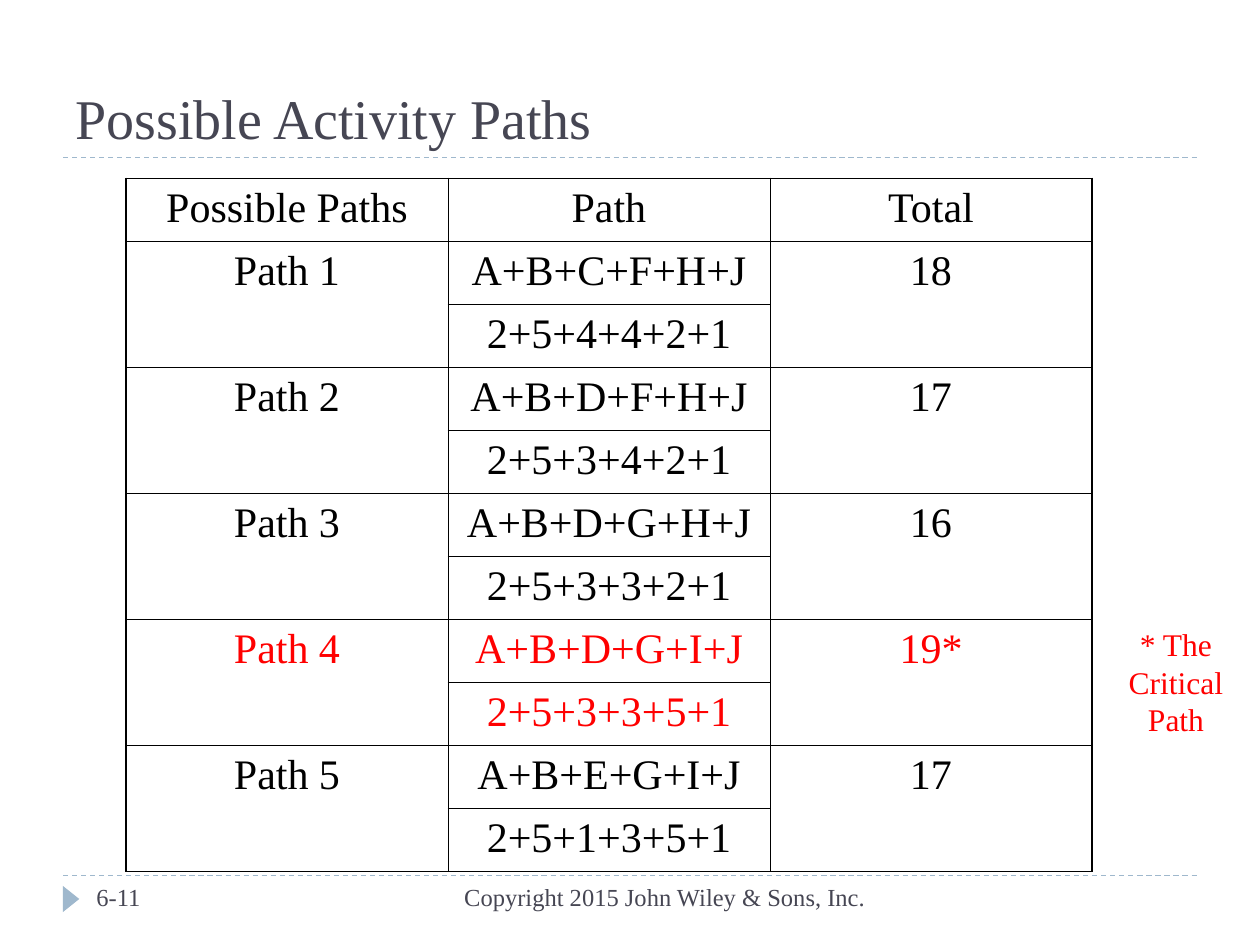
from dataclasses import dataclass

from lxml.etree import SubElement
from pptx import Presentation
from pptx.dml.color import RGBColor
from pptx.enum.dml import MSO_LINE
from pptx.enum.shapes import MSO_CONNECTOR, MSO_SHAPE
from pptx.enum.text import MSO_ANCHOR, PP_ALIGN
from pptx.oxml import parse_xml
from pptx.oxml.ns import nsdecls, qn
from pptx.util import Pt

FONT = "Times New Roman"
BLACK = RGBColor(0x00, 0x00, 0x00)
RED = RGBColor(0xFF, 0x00, 0x00)
SLATE = RGBColor(0x46, 0x46, 0x53)
BLUE = RGBColor(0x9F, 0xB8, 0xCD)

THIN, THICK = 0.45, 1.08
TABLE_LEFT, TABLE_TOP = 72, 102
COLUMN_WIDTH, ROW_HEIGHT = 184, 36
HEADINGS = ("Possible Paths", "Path", "Total")


@dataclass
class ActivityPath:
    name: str
    activities: str
    durations: str
    total: str
    color: RGBColor = BLACK


PATHS = [
    ActivityPath("Path 1", "A+B+C+F+H+J", "2+5+4+4+2+1", "18"),
    ActivityPath("Path 2", "A+B+D+F+H+J", "2+5+3+4+2+1", "17"),
    ActivityPath("Path 3", "A+B+D+G+H+J", "2+5+3+3+2+1", "16"),
    ActivityPath("Path 4", "A+B+D+G+I+J", "2+5+3+3+5+1", "19*", RED),
    ActivityPath("Path 5", "A+B+E+G+I+J", "2+5+1+3+5+1", "17"),
]


def write(frame, text: str, *, size: float, color: RGBColor,
          align: PP_ALIGN = PP_ALIGN.LEFT) -> None:
    para = frame.paragraphs[0]
    para.alignment = align
    span = para.add_run()
    span.text = text
    span.font.name = FONT
    span.font.size = Pt(size)
    span.font.color.rgb = color


def add_text(page, text: str, left: float, top: float, width: float,
             height: float, **text_format) -> None:
    box = page.shapes.add_textbox(Pt(left), Pt(top), Pt(width), Pt(height))
    box.text_frame.word_wrap = True
    write(box.text_frame, text, **text_format)


def add_rule(page, top: float) -> None:
    rule = page.shapes.add_connector(
        MSO_CONNECTOR.STRAIGHT, Pt(36), Pt(top), Pt(684), Pt(top))
    rule.line.color.rgb = BLUE
    rule.line.width = Pt(0.75)
    rule.line.dash_style = MSO_LINE.DASH
    SubElement(rule.element.spPr, qn("a:effectLst"))


def set_borders(cell, widths: dict[str, float]) -> None:
    properties = cell._tc.get_or_add_tcPr()
    for index, (side, width) in enumerate(widths.items()):
        properties.insert(index, parse_xml(
            f'<a:ln{side} {nsdecls("a")} w="{Pt(width)}"><a:solidFill>'
            f'<a:srgbClr val="{BLACK}"/></a:solidFill></a:ln{side}>'))


def add_path_table(page) -> None:
    row_count, column_count = 1 + 2 * len(PATHS), len(HEADINGS)
    table = page.shapes.add_table(
        row_count, column_count, Pt(TABLE_LEFT), Pt(TABLE_TOP),
        Pt(COLUMN_WIDTH * column_count), Pt(ROW_HEIGHT * row_count)).table
    table.first_row = table.horz_banding = False

    # Grid: thick outer frame, thin inner lines
    for row in range(row_count):
        for column in range(column_count):
            cell = table.cell(row, column)
            cell.fill.background()
            set_borders(cell, {
                "L": THICK if column == 0 else THIN,
                "R": THICK if column == column_count - 1 else THIN,
                "T": THICK if row == 0 else THIN,
                "B": THICK if row == row_count - 1 else THIN,
            })

    def fill_cell(row: int, column: int, text: str, color: RGBColor) -> None:
        write(table.cell(row, column).text_frame, text, size=24,
              color=color, align=PP_ALIGN.CENTER)

    # Headings, then two rows for each path
    for column, heading in enumerate(HEADINGS):
        fill_cell(0, column, heading, BLACK)
    for index, path in enumerate(PATHS):
        row = 1 + 2 * index
        for column in (0, 2):
            table.cell(row, column).merge(table.cell(row + 1, column))
        fill_cell(row, 0, path.name, path.color)
        fill_cell(row, 1, path.activities, path.color)
        fill_cell(row + 1, 1, path.durations, path.color)
        fill_cell(row, 2, path.total, path.color)


def main() -> None:
    deck = Presentation()
    deck.slide_width, deck.slide_height = Pt(720), Pt(540)
    page = deck.slides.add_slide(deck.slide_layouts[5])

    # Dashed rules and footer marker
    add_rule(page, 500.4)
    add_rule(page, 90)
    marker = page.shapes.add_shape(
        MSO_SHAPE.ISOSCELES_TRIANGLE, Pt(33.1), Pt(509), Pt(15), Pt(9.4))
    marker.rotation = 90
    marker.shadow.inherit = False
    marker.fill.solid()
    marker.fill.fore_color.rgb = BLUE
    marker.line.fill.background()

    # Title
    title = page.shapes.title
    title.left, title.top = Pt(36), Pt(12)
    title.width, title.height = Pt(648), Pt(78)
    title.text_frame.vertical_anchor = MSO_ANCHOR.BOTTOM
    write(title.text_frame, "Possible Activity Paths", size=32, color=SLATE)

    # Table and its note
    add_path_table(page)
    add_text(page, "* The Critical Path", 636, 353.5, 72, 72,
             size=18, color=RED, align=PP_ALIGN.CENTER)

    # Footer
    add_text(page, "6-11", 48, 500.4, 156, 28.8, size=14, color=SLATE)
    add_text(page, "Copyright 2015 John Wiley & Sons, Inc.", 228, 500.4,
             273.6, 28.8, size=14, color=SLATE, align=PP_ALIGN.RIGHT)

    deck.save("out.pptx")


if __name__ == "__main__":
    main()
